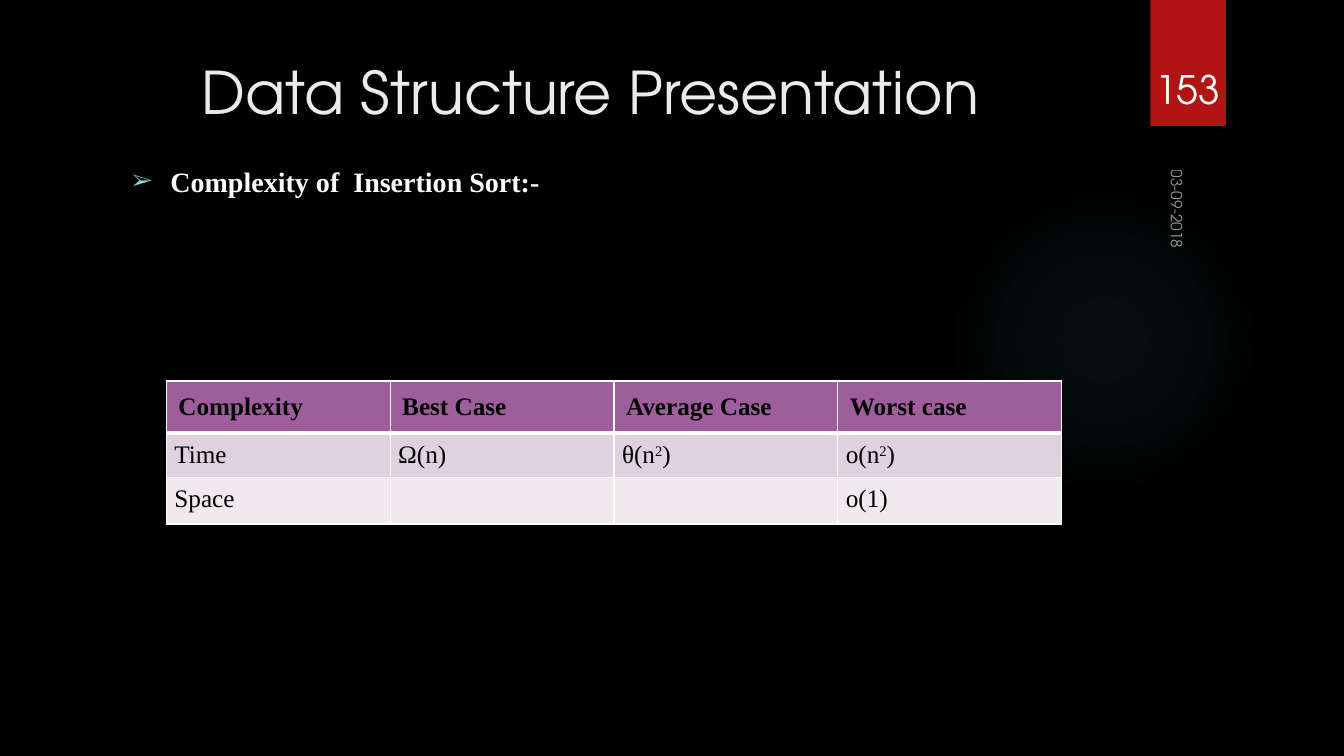
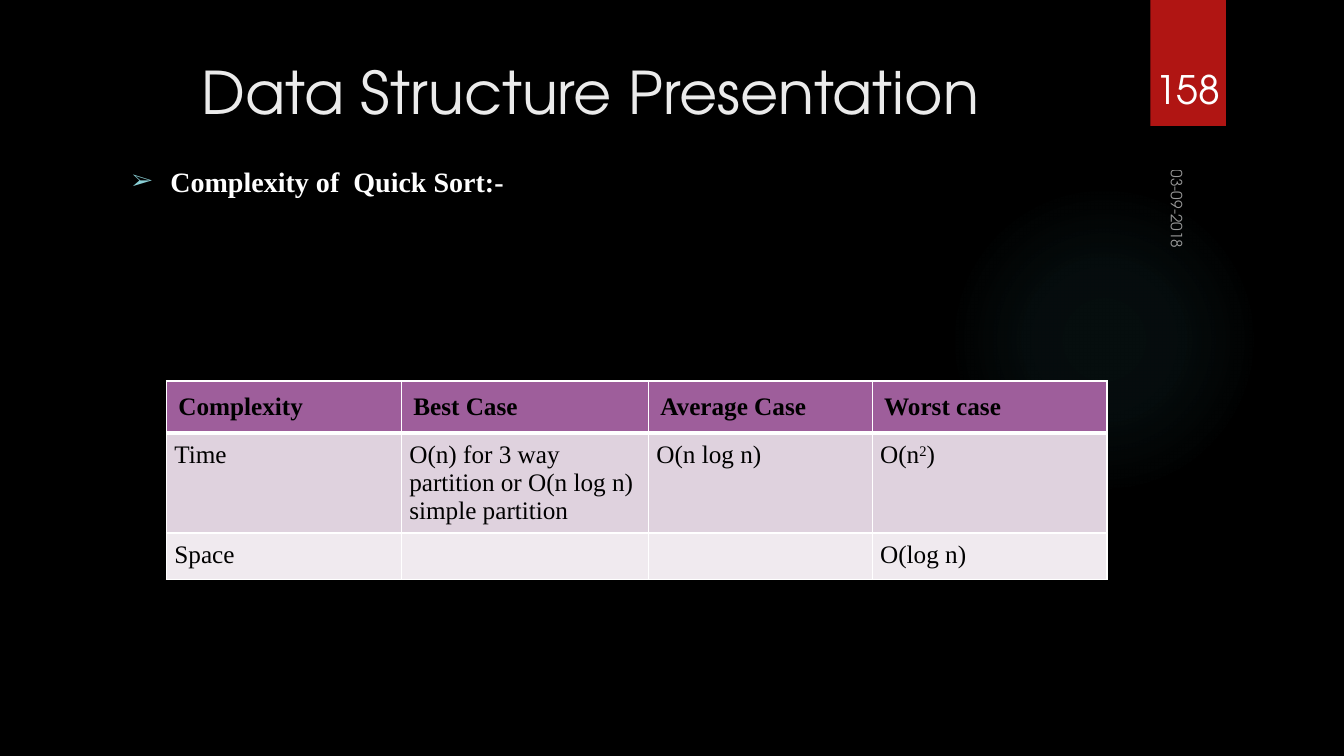
from lxml import etree
from pptx import Presentation
from pptx.dml.color import RGBColor
from pptx.enum.shapes import MSO_SHAPE
from pptx.enum.text import MSO_ANCHOR, MSO_AUTO_SIZE, PP_ALIGN
from pptx.oxml import parse_xml
from pptx.oxml.ns import nsdecls, qn
from pptx.util import Inches, Pt

TOP, BOTTOM = MSO_ANCHOR.TOP, MSO_ANCHOR.BOTTOM
LEFT, CENTER = PP_ALIGN.LEFT, PP_ALIGN.CENTER
OVAL, RECT = MSO_SHAPE.OVAL, MSO_SHAPE.RECTANGLE
NO_FIT = MSO_AUTO_SIZE.NONE

BLACK = RGBColor(0x00, 0x00, 0x00)
WHITE = RGBColor(0xFF, 0xFF, 0xFF)
PALE = RGBColor(0xEB, 0xEB, 0xEB)
RED = RGBColor(0xB0, 0x15, 0x13)
TEAL = RGBColor(0x50, 0xB9, 0xC1)
AQUA = RGBColor(0x8A, 0xD0, 0xD6)
PLUM = RGBColor(0x9E, 0x5E, 0x9B)
BANDS = [RGBColor(0xDF, 0xD2, 0xDE), RGBColor(0xF0, 0xEA, 0xEF)]
SANS, SERIF = "TeX Gyre Adventor", "Times New Roman"

TITLE = "Data Structure Presentation"
DATE = "03-09-2018"
HEAD = ["Complexity", "Best Case", "Average Case", "Worst case"]
# A cell is a tuple of runs; every second run is raised.
SLIDES = [
    {
        "number": "153",
        "topic": "Complexity of  Insertion Sort:-",
        "cols": [2.22, 2.22, 2.22, 2.22],
        "rows": [
            [("Time",), ("Ω(n)",), ("θ(n", "2", ")"), ("o(n", "2", ")")],
            [("Space",), (), (), ("o(1)",)],
        ],
    },
    {
        "number": "158",
        "topic": "Complexity of  Quick Sort:-",
        "cols": [2.33, 2.45, 2.22, 2.33],
        "rows": [
            [("Time",),
             ("O(n) for 3 way partition or O(n log n) simple partition",),
             ("O(n log n)",), ("O(n", "2", ")")],
            [("Space",), (), (), ("O(log n)",)],
        ],
    },
]

TABLE_AT = 1.65, 3.78
ROW = 0.41
GLOW = [(0, 7), (36, 6), (69, 0)]


def box(*sides):
    return [Inches(side) for side in sides]


def place(shape, *sides):
    shape.left, shape.top, shape.width, shape.height = box(*sides)


def write(para, text, size, face, color, bold=False):
    run = para.add_run()
    run.text = text
    font = run.font
    font.size, font.name, font.bold = Pt(size), face, bold
    font.color.rgb = color
    return run


def frame(shape, anchor=TOP, align=LEFT):
    """Set up the text frame and return its first paragraph."""
    text = shape.text_frame
    text.word_wrap, text.auto_size = True, NO_FIT
    text.vertical_anchor = anchor
    para = text.paragraphs[0]
    para.alignment, para.space_before = align, Pt(0)
    return para


def form(slide, kind, *sides):
    shape = slide.shapes.add_shape(kind, *box(*sides))
    shape.shadow.inherit = False
    shape.line.fill.background()
    shape.fill.solid()
    return shape


def add_glow(slide):
    glow = form(slide, OVAL, 9.41, 1.83, 3.08, 3.08)
    stops = "".join(
        f'<a:gs pos="{pos}000"><a:srgbClr val="{TEAL}">'
        f'<a:alpha val="{alpha}000"/></a:srgbClr></a:gs>'
        for pos, alpha in GLOW)
    props = glow.element.spPr
    props.replace(props.find(qn("a:solidFill")), parse_xml(
        f'<a:gradFill {nsdecls("a")}><a:gsLst>{stops}</a:gsLst>'
        '<a:path path="circle"><a:fillToRect l="50000" t="50000" '
        'r="50000" b="50000"/></a:path></a:gradFill>'))


def add_frame(slide, number):
    """Draw the parts that every slide shares: glow, tab, number and date."""
    add_glow(slide)
    form(slide, RECT, 11.41, 0, 0.75, 1.25).fill.fore_color.rgb = RED
    page = slide.shapes.add_textbox(*box(11.32, 0.32, 0.92, 0.84))
    write(frame(page, BOTTOM, CENTER), number, 28, SANS, WHITE)
    date = slide.shapes.add_textbox(*box(11.11, 1.96, 1.08, 0.33))
    date.rotation = 90
    run = write(frame(date), DATE, 11, SANS, WHITE)
    color = run._r.find(".//" + qn("a:srgbClr"))
    etree.SubElement(color, qn("a:alpha"), val="60000")


def add_topic(body, topic):
    place(body, 1.21, 1.58, 9.78, 5.62)
    para = frame(body)
    props = para._p.get_or_add_pPr()
    props.set("marL", str(Inches(0.38)))
    props.set("indent", str(-Inches(0.38)))
    color = etree.SubElement(props, qn("a:buClr"))
    etree.SubElement(color, qn("a:srgbClr"), val=str(AQUA))
    etree.SubElement(props, qn("a:buSzPct"), val="80000")
    etree.SubElement(props, qn("a:buFont"), typeface=SERIF)
    etree.SubElement(props, qn("a:buChar"), char="➢")
    write(para, topic, 20, SERIF, WHITE, True)


def edge(cell, **widths):
    """Line the sides L, R, T and B of a cell, 1 point unless given."""
    props = cell._tc.get_or_add_tcPr()
    for spot, side in enumerate("LRTB"):
        width = Pt(widths.get(side, 1))
        props.insert(spot, parse_xml(
            f'<a:ln{side} {nsdecls("a")} w="{width}"><a:solidFill>'
            f'<a:srgbClr val="{WHITE}"/></a:solidFill></a:ln{side}>'))


def fill_cell(cell, runs, fill, inset, bold):
    cell.margin_left = cell.margin_right = Inches(inset)
    cell.margin_top = cell.margin_bottom = Inches(inset)
    cell.fill.solid()
    cell.fill.fore_color.rgb = fill
    para = cell.text_frame.paragraphs[0]
    para.font.size = Pt(18)
    for spot, text in enumerate(runs):
        run = write(para, text, 18, SERIF, BLACK, bold)
        if spot % 2:
            run._r.get_or_add_rPr().set("baseline", "30000")


def add_grid(slide, cols, rows):
    data = [[(name,) for name in HEAD]] + rows
    table = slide.shapes.add_table(
        len(data), len(cols),
        *box(*TABLE_AT, sum(cols), ROW * len(data))).table
    for col, width in zip(table.columns, cols):
        col.width = Inches(width)
    for r, line in enumerate(data):
        table.rows[r].height = Inches(ROW)
        for c, runs in enumerate(line):
            cell = table.cell(r, c)
            if r == 0:
                fill_cell(cell, runs, PLUM, 0.12, True)
                edge(cell, B=3)
            else:
                fill_cell(cell, runs, BANDS[(r - 1) % 2], 0.08, False)
                edge(cell, T=3 if r == 1 else 1)


def main():
    deck = Presentation()
    deck.slide_width, deck.slide_height = box(13.33, 7.5)
    back = deck.slide_master.background.fill
    back.solid()
    back.fore_color.rgb = BLACK
    for item in SLIDES:
        slide = deck.slides.add_slide(deck.slide_layouts[1])
        title, body = slide.placeholders
        place(title, 0.71, 0.5, 10.29, 1.53)
        write(frame(title, TOP, CENTER), TITLE, 42, SANS, PALE)
        add_topic(body, item["topic"])
        add_frame(slide, item["number"])
        add_grid(slide, item["cols"], item["rows"])
    deck.save("out.pptx")


if __name__ == "__main__":
    main()
